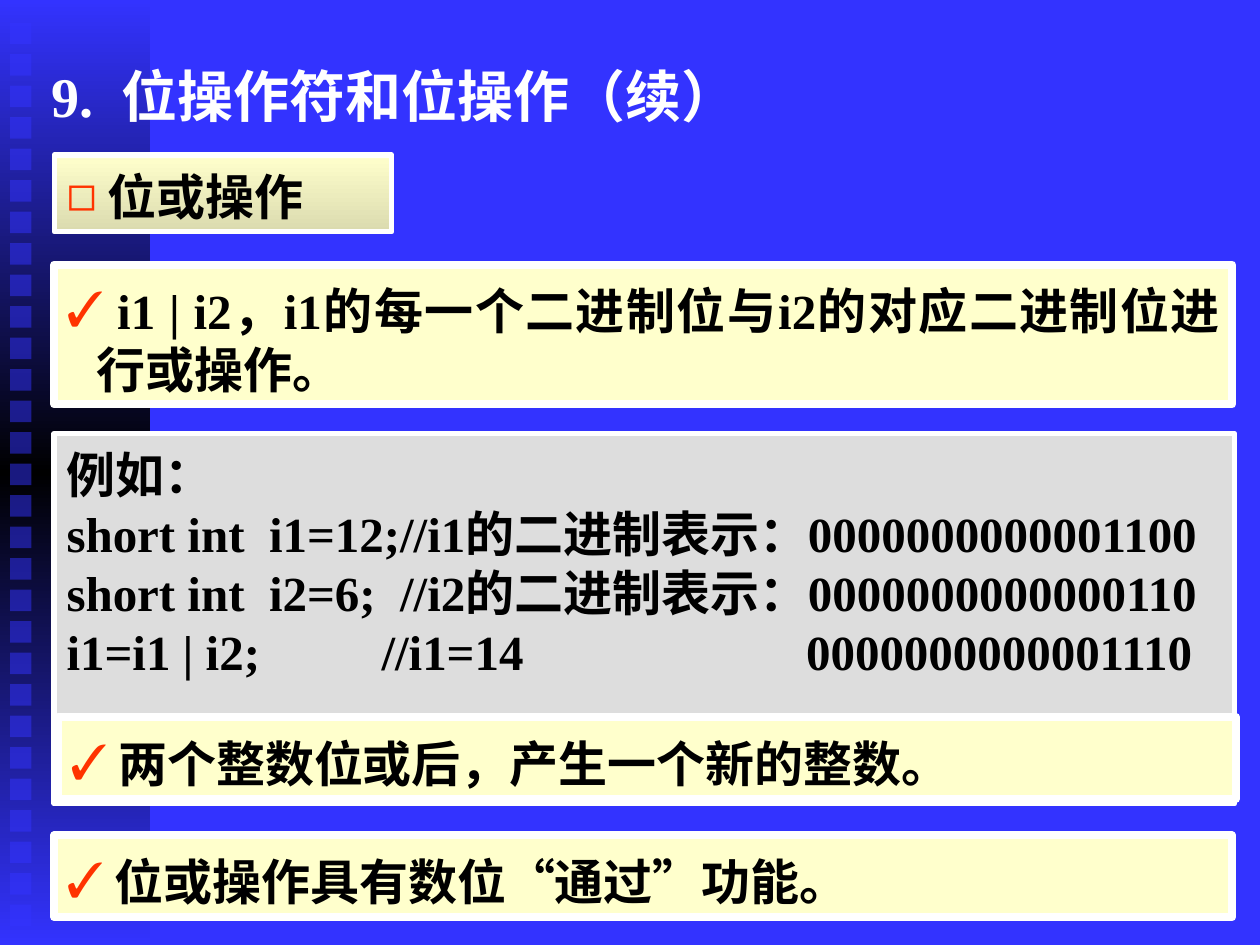
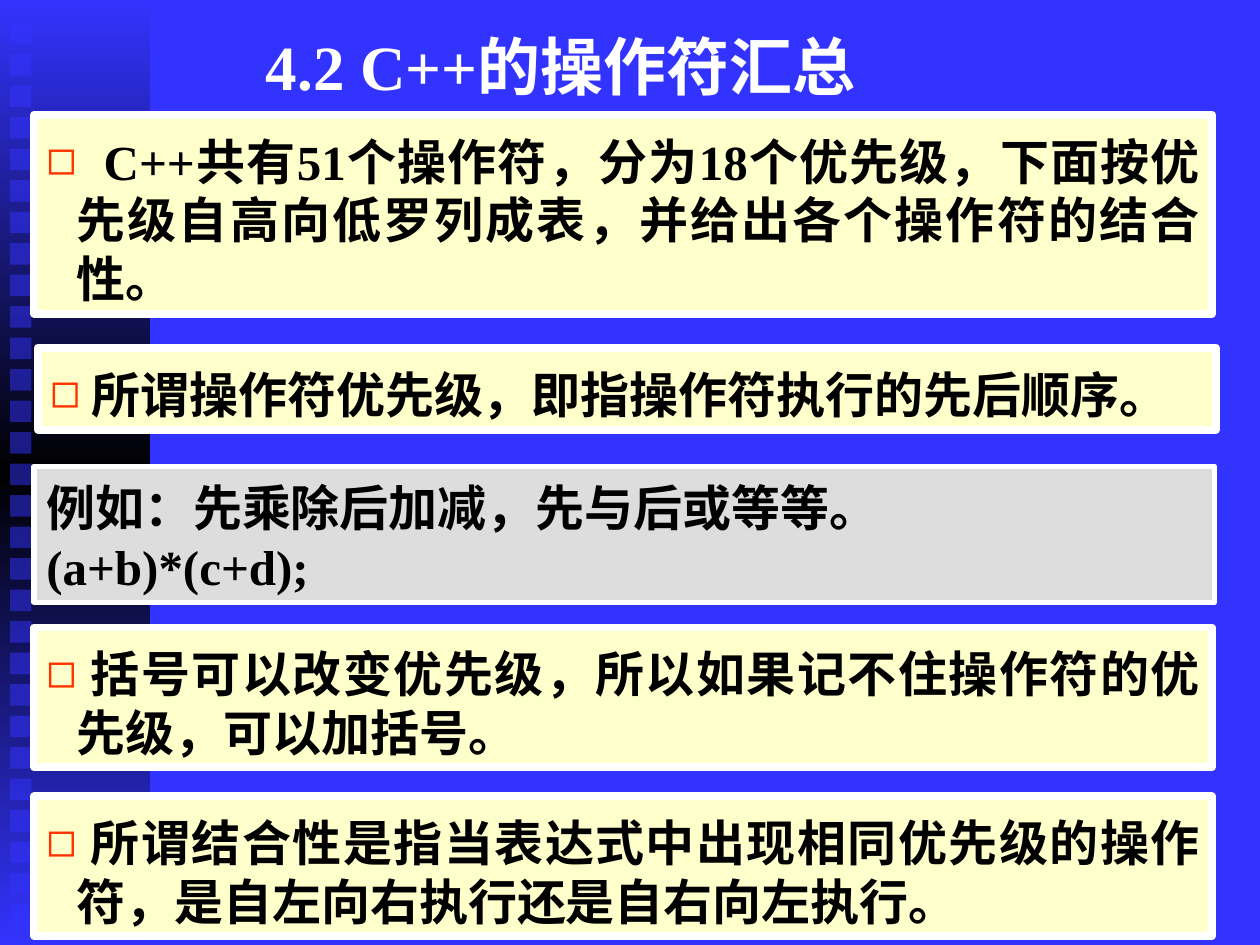
from copy import deepcopy
from dataclasses import dataclass

from lxml.etree import SubElement
from pptx import Presentation
from pptx.dml.color import RGBColor
from pptx.enum.shapes import MSO_SHAPE as Preset
from pptx.enum.text import MSO_ANCHOR as Anchor
from pptx.enum.text import MSO_AUTO_SIZE as AutoSize
from pptx.enum.text import PP_ALIGN as Align
from pptx.oxml.ns import qn
from pptx.util import Inches, Pt


@dataclass(frozen=True)
class Theme:
    font: str = "Times New Roman"
    blue: str = "3333FF"
    black: str = "000000"
    white: str = "FFFFFF"
    cream: str = "FFFFCC"
    khaki: str = "DBDBAF"
    gray: str = "DDDDDD"
    red: str = "FF3300"
    body_size: int = 28
    section_size: int = 32
    chapter_size: int = 36


THEME = Theme()
SQUARE = "◻"
CHECK = "✓"
HANGING = 0.24
PANEL_WIDTH = 9.35
CODE_WIDTH = 9.37
ONE_LINE, TWO_LINES, THREE_LINES = 0.65, 1.11, 1.58


def color(value):
    return RGBColor.from_string(value)


def fill_shape(shape, *colors):
    fill = shape.fill
    if len(colors) == 1:
        fill.solid()
        fill.fore_color.rgb = color(colors[0])
        return
    fill.gradient()
    fill.gradient_angle = 270
    stop_list = shape.element.spPr.find(".//" + qn("a:gsLst"))
    while len(stop_list) < len(colors):
        stop_list.append(deepcopy(stop_list[0]))
    for index, (stop, value) in enumerate(zip(fill.gradient_stops, colors)):
        stop.position = index / (len(colors) - 1)
        stop.color.rgb = color(value)


def add_rectangle(shapes, left, top, width, height, colors, line_width=0):
    shape = shapes.add_shape(Preset.RECTANGLE, Inches(left), Inches(top),
                             Inches(width), Inches(height))
    shape.shadow.inherit = False
    fill_shape(shape, *colors)
    if line_width:
        shape.line.color.rgb = color(THEME.white)
        shape.line.width = Pt(line_width)
    else:
        shape.line.fill.background()
    return shape


def add_bullet(paragraph, symbol):
    properties = paragraph._p.get_or_add_pPr()
    properties.set("marL", str(Inches(HANGING)))
    properties.set("indent", str(-Inches(HANGING)))
    bullet_color = SubElement(properties, qn("a:buClr"))
    SubElement(bullet_color, qn("a:srgbClr")).set("val", THEME.red)
    SubElement(properties, qn("a:buFont")).set("typeface", THEME.font)
    SubElement(properties, qn("a:buChar")).set("char", symbol)


def add_tabs(paragraph, positions):
    tab_list = SubElement(paragraph._p.get_or_add_pPr(), qn("a:tabLst"))
    for position in positions:
        tab = SubElement(tab_list, qn("a:tab"))
        tab.set("pos", str(Inches(position)))
        tab.set("algn", "l")


def write_text(shape, text, size=THEME.body_size, text_color=THEME.black,
               align=Align.JUSTIFY, anchor=Anchor.TOP, top_inset=0.05,
               space_before=0, bullet=None, tabs=()):
    frame = shape.text_frame
    frame.word_wrap = True
    frame.auto_size = AutoSize.NONE
    frame.vertical_anchor = anchor
    frame.margin_left = frame.margin_right = Inches(0.1)
    frame.margin_top, frame.margin_bottom = Inches(top_inset), Inches(0.05)
    frame.text = text
    for paragraph in frame.paragraphs:
        paragraph.alignment = align
        paragraph.space_before = Pt(space_before)
        if bullet:
            add_bullet(paragraph, bullet)
        if tabs:
            add_tabs(paragraph, tabs)
        for run in paragraph.runs:
            run.font.name = THEME.font
            run.font.size = Pt(size)
            run.font.bold = True
            run.font.color.rgb = color(text_color)


def add_panel(slide, left, top, height, text, bullet):
    panel = add_rectangle(slide.shapes, left, top, PANEL_WIDTH, height,
                          [THEME.cream], line_width=4.5)
    write_text(panel, text, bullet=bullet, top_inset=0.13)


def add_code(slide, left, top, height, text, **text_format):
    code = add_rectangle(slide.shapes, left, top, CODE_WIDTH, height,
                         [THEME.gray], line_width=3)
    write_text(code, text, top_inset=0.09, **text_format)


def add_heading(slide, left, top, width, height, text):
    heading = add_rectangle(slide.shapes, left, top, width, height,
                            [THEME.cream, THEME.khaki], line_width=3)
    write_text(heading, text, align=Align.LEFT, bullet=SQUARE, top_inset=0.09)


def add_title_slide(presentation, text, left, top, width, height, **text_format):
    slide = presentation.slides.add_slide(presentation.slide_layouts[5])
    title = slide.shapes.title
    title.left, title.top = Inches(left), Inches(top)
    title.width, title.height = Inches(width), Inches(height)
    write_text(title, text, text_color=THEME.white, **text_format)
    return slide


def decorate_master(presentation, slide):
    master = presentation.slide_master
    master.background.fill.solid()
    master.background.fill.fore_color.rgb = color(THEME.blue)
    band = slide.shapes.add_group_shape()
    add_rectangle(band.shapes, 0, 0, 1.19, 7.5,
                  [THEME.blue, THEME.black, THEME.blue])
    for index in range(29):
        square = add_rectangle(band.shapes, 0.08, 0.18 + 0.25 * index,
                               0.17, 0.17, [THEME.blue])
        fill_color = square.element.spPr.find(".//" + qn("a:srgbClr"))
        SubElement(fill_color, qn("a:alpha")).set("val", "50000")
    master.shapes.element.insert(2, band.element)


def build_bitwise_or(presentation):
    slide = add_title_slide(presentation, "9.  位操作符和位操作（续）",
                            0.31, 0.44, 9.42, 0.58,
                            size=THEME.section_size, space_before=8)
    left = 0.43
    add_heading(slide, left, 1.23, 2.68, 0.61, " 位或操作")
    add_panel(slide, left, 2.1, TWO_LINES,
              " i1 | i2，i1的每一个二进制位与i2的对应二进制位进行或操作。", CHECK)
    add_code(slide, left, 3.44, 2.94, "\n".join([
        "例如：",
        "short int  i1=12;//i1的二进制表示：0000000000001100",
        "short int  i2=6;  //i2的二进制表示：0000000000000110",
        "i1=i1 | i2;\t//i1=14\t0000000000001110",
    ]), align=Align.LEFT, tabs=(2.5, 5.87))
    add_panel(slide, 0.46, 5.69, ONE_LINE,
              " 两个整数位或后，产生一个新的整数。", CHECK)
    add_panel(slide, left, 6.63, ONE_LINE,
              " 位或操作具有数位“通过”功能。", CHECK)
    return slide


def build_operator_summary(presentation):
    slide = add_title_slide(presentation, "4.2 C++的操作符汇总",
                            0.2, -0.11, 8.5, 1.25, size=THEME.chapter_size,
                            align=Align.CENTER, anchor=Anchor.MIDDLE)
    left = 0.27
    panels = [
        (left, 0.91, THREE_LINES,
         "  C++共有51个操作符，分为18个优先级，下面按优先级自高向低罗列成表，"
         "并给出各个操作符的结合性。"),
        (0.3, 2.76, ONE_LINE,
         " 所谓操作符优先级，即指操作符执行的先后顺序。"),
        (left, 4.98, TWO_LINES,
         " 括号可以改变优先级，所以如果记不住操作符的优先级，可以加括号。"),
        (left, 6.32, TWO_LINES,
         " 所谓结合性是指当表达式中出现相同优先级的操作符，"
         "是自左向右执行还是自右向左执行。"),
    ]
    for panel in panels:
        add_panel(slide, *panel, SQUARE)
    add_code(slide, left, 3.7, 1.08,
             "例如：先乘除后加减，先与后或等等。\n(a+b)*(c+d);")


def main():
    presentation = Presentation()
    presentation.slide_width = Inches(10)
    presentation.slide_height = Inches(7.5)
    first_slide = build_bitwise_or(presentation)
    decorate_master(presentation, first_slide)
    build_operator_summary(presentation)
    presentation.save("out.pptx")


if __name__ == "__main__":
    main()
